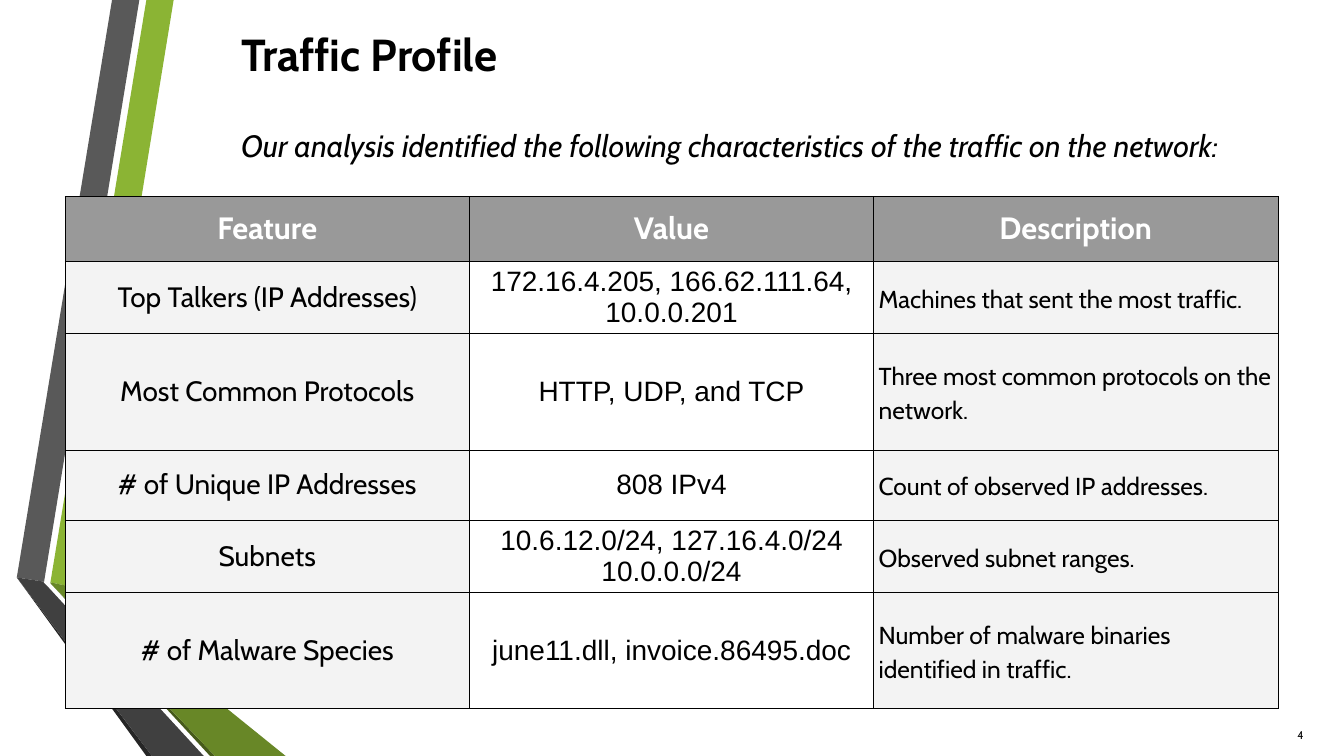
"""Build the traffic profile slide."""
import dataclasses
import typing

import lxml.etree
import pptx
import pptx.dml.color
import pptx.enum.text
import pptx.oxml.ns
import pptx.util

Pt = pptx.util.Pt
Align = pptx.enum.text.PP_ALIGN
Anchor = pptx.enum.text.MSO_ANCHOR
qn = pptx.oxml.ns.qn


@dataclasses.dataclass(frozen=True)
class Theme:
    """Colours, fonts and type sizes of the slide."""
    ink: str = "000000"
    white: str = "FFFFFF"
    head: str = "999999"
    pale: str = "F3F3F3"
    green: str = "8BB434"
    olive: str = "688727"
    moss: str = "465A1A"
    grey: str = "595959"
    coal: str = "404040"
    night: str = "262626"
    main: str = "Cabin"
    plain: str = "Arial"
    title: int = 64
    lead: int = 44
    cell: int = 40
    note: int = 35
    page: int = 16
    rule: float = 0.75


@dataclasses.dataclass(frozen=True)
class Style:
    """Look of a piece of text."""
    size: int
    font: str
    ink: str
    bold: bool = False
    slant: bool = False
    align: Align = Align.LEFT
    lines: float = 1.0
    after: float = 0


class Box(typing.NamedTuple):
    """Place and size in points."""
    left: float
    top: float
    width: float
    height: float


class Band(typing.NamedTuple):
    """One flat face of the folded ribbons."""
    fill: str
    points: list[tuple[float, float]]


class Row(typing.NamedTuple):
    """One line of the profile table."""
    height: float
    feature: str
    value: str
    note: str


THEME = Theme()
TITLE = Style(THEME.title, THEME.main, THEME.ink, bold=True)
LEAD = Style(THEME.lead, THEME.main, THEME.ink, slant=True, after=12)
PAGE = Style(THEME.page, THEME.main, THEME.ink, align=Align.RIGHT)
HEAD = Style(THEME.lead, THEME.main, THEME.white, bold=True, align=Align.CENTER)
NAME = Style(THEME.cell, THEME.main, THEME.ink, align=Align.CENTER)
VALUE = Style(THEME.cell, THEME.plain, THEME.ink, align=Align.CENTER)
NOTE = Style(THEME.note, THEME.main, THEME.ink, lines=1.15, after=10)

BANDS = [
    Band(THEME.green, [(72, 832.3), (110.9, 839.5), (248.4, 0), (208.8, 0)]),
    Band(THEME.grey, [(199.4, 0), (159.8, 0), (23.8, 825.1), (62.6, 830.9)]),
    Band(THEME.night, [(23.8, 825.1), (208.8, 1080), (217.4, 1080)]),
    Band(THEME.moss, [(72, 833), (299.5, 1080), (307.4, 1080)]),
    Band(THEME.olive, [(72, 833), (307.4, 1080), (407.5, 1080), (110.9, 839.5),
                       (72, 832.3)]),
    Band(THEME.coal, [(290.9, 1080), (69.8, 840.2), (61.9, 831.6), (62.6, 830.9),
                      (23.8, 825.1), (217.4, 1080)]),
]

ROWS = [
    Row(92, "Feature", "Value", "Description"),
    Row(100, "Top Talkers (IP Addresses)", "172.16.4.205, 166.62.111.64,\n10.0.0.201",
        "Machines that sent the most traffic."),
    Row(166, "Most Common Protocols", "HTTP, UDP, and TCP",
        "Three most common protocols on the network."),
    Row(100, "# of Unique IP Addresses", "808 IPv4", "Count of observed IP addresses."),
    Row(100, "Subnets", "10.6.12.0/24, 127.16.4.0/24\n10.0.0.0/24",
        "Observed subnet ranges."),
    Row(166, "# of Malware Species", "june11.dll, invoice.86495.doc",
        "Number of malware binaries identified in traffic."),
]


def tint(code: str) -> pptx.dml.color.RGBColor:
    """Turn a hex code into a colour."""
    return pptx.dml.color.RGBColor.from_string(code)


def write(frame, text: str, style: Style) -> None:
    """Fill a text frame and format its paragraphs and runs."""
    frame.text = text
    for para in frame.paragraphs:
        para.alignment = style.align
        para.line_spacing = style.lines
        para.space_before = Pt(0)
        para.space_after = Pt(style.after)
        for run in para.runs:
            font = run.font
            font.size, font.name = Pt(style.size), style.font
            font.bold, font.italic = style.bold, style.slant
            font.color.rgb = tint(style.ink)


def place(shape, box: Box, inset: Box, text: str, style: Style) -> None:
    """Move a text shape, set its insets and write its text."""
    shape.left, shape.top, shape.width, shape.height = map(Pt, box)
    frame = shape.text_frame
    frame.word_wrap = True
    frame.auto_size = pptx.enum.text.MSO_AUTO_SIZE.NONE
    frame.vertical_anchor = Anchor.TOP
    frame.margin_left, frame.margin_top, frame.margin_right, frame.margin_bottom = map(Pt, inset)
    write(frame, text, style)


def draw_band(slide, band: Band) -> None:
    """Draw one ribbon face."""
    pen = slide.shapes.build_freeform(*band.points[0], scale=float(Pt(1)))
    pen.add_line_segments(band.points[1:], close=True)
    shape = pen.convert_to_shape()
    shape.shadow.inherit = False
    shape.fill.solid()
    shape.fill.fore_color.rgb = tint(band.fill)
    shape.line.fill.background()


def edge(cell) -> None:
    """Rule all four sides of a cell."""
    props = cell._tc.get_or_add_tcPr()
    for side in ("a:lnL", "a:lnR", "a:lnT", "a:lnB"):
        line = lxml.etree.SubElement(props, qn(side), w=str(Pt(THEME.rule)))
        fill = lxml.etree.SubElement(line, qn("a:solidFill"))
        lxml.etree.SubElement(fill, qn("a:srgbClr"), val=THEME.ink)


def draw_cell(cell, text: str, style: Style, fill: str | None) -> None:
    """Format and fill one table cell."""
    edge(cell)
    if fill:
        cell.fill.solid()
        cell.fill.fore_color.rgb = tint(fill)
    else:
        cell.fill.background()
    cell.vertical_anchor = Anchor.MIDDLE
    cell.margin_left = cell.margin_right = cell.margin_top = cell.margin_bottom = Pt(7.2)
    write(cell.text_frame, text, style)


def draw_table(slide, box: Box, rows: list[Row]) -> None:
    """Draw the profile table with a header row."""
    table = slide.shapes.add_table(len(rows), 3, *map(Pt, box)).table
    table.horz_banding = table.first_row = False
    for col in table.columns:
        col.width = Pt(box.width / 3)
    for i, row in enumerate(rows):
        table.rows[i].height = Pt(row.height)
        styles = (NAME, VALUE, NOTE) if i else (HEAD,) * 3
        fills = (THEME.pale, None, THEME.pale) if i else (THEME.head,) * 3
        for cell, text, style, fill in zip(table.rows[i].cells, row[1:], styles, fills):
            draw_cell(cell, text, style, fill)


def main() -> None:
    """Build and save the slide."""
    deck = pptx.Presentation()
    deck.slide_width, deck.slide_height = Pt(1919.52), Pt(1080)
    slide = deck.slides.add_slide(deck.slide_layouts[1])
    for band in BANDS:
        draw_band(slide, band)
    place(slide.shapes.title, Box(248.4, 0, 1924.6, 112.3), Box(96, 38, 57.6, 19.2),
          "Traffic Profile", TITLE)
    body = slide.placeholders[1]
    place(body, Box(248.4, 180.7, 1806.5, 776.9), Box(96, 0, 96, 192),
          "Our analysis identified the following characteristics of the traffic on the network:",
          LEAD)
    props = body.text_frame.paragraphs[0]._p.get_or_add_pPr()
    props.set("marL", "0")
    props.set("indent", "0")
    lxml.etree.SubElement(props, qn("a:buNone"))
    spot = Box(1807.2, 1041.1, 54.7, 22.3)
    place(slide.shapes.add_textbox(*map(Pt, spot)), spot, Box(0, 0, 0, 19.2), "4", PAGE)
    draw_table(slide, Box(93, 281, 1732, sum(row.height for row in ROWS)), ROWS)
    deck.save("out.pptx")


if __name__ == "__main__":
    main()
